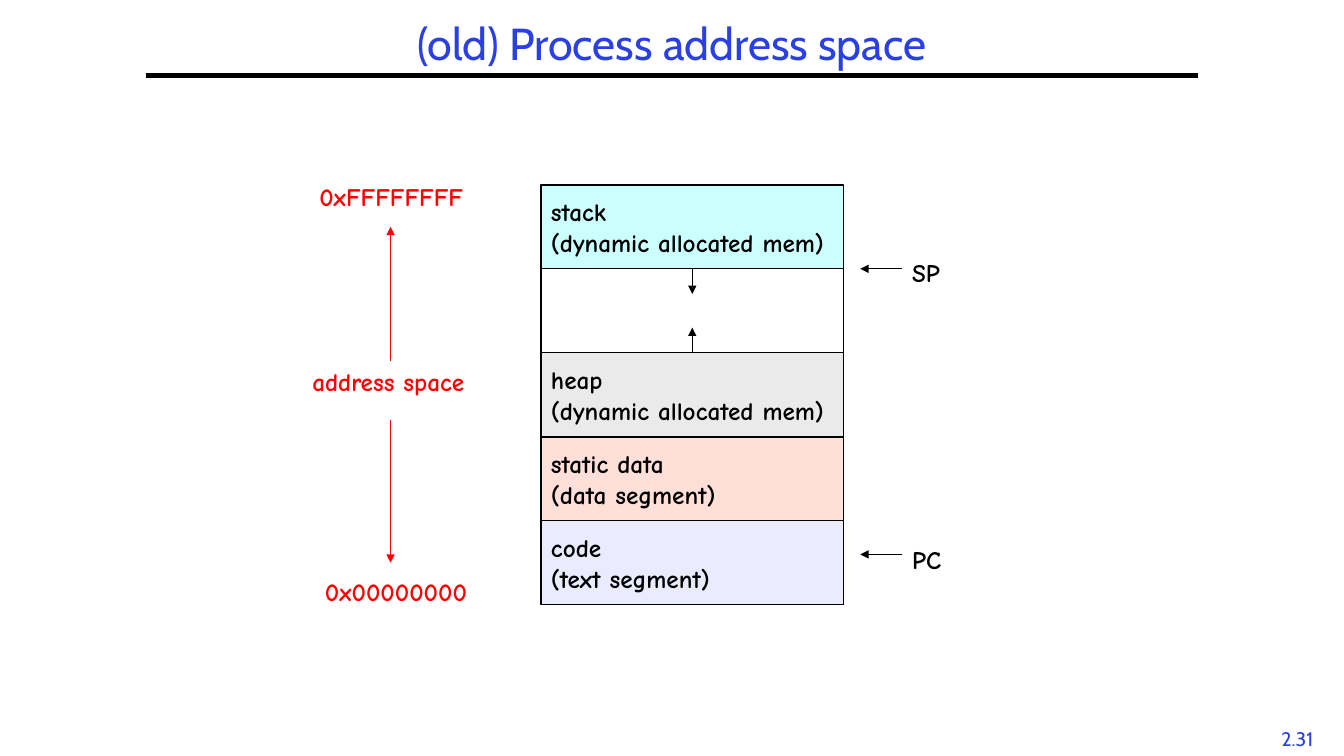
from dataclasses import dataclass

from lxml.etree import SubElement
from pptx import Presentation
from pptx.dml.color import RGBColor
from pptx.enum.shapes import MSO_CONNECTOR as Connector, MSO_SHAPE as Preset
from pptx.enum.text import MSO_ANCHOR as Anchor, MSO_AUTO_SIZE as AutoSize, PP_ALIGN as Align
from pptx.oxml.ns import qn
from pptx.util import Pt


@dataclass(frozen=True)
class Theme:
    title_font: str = "Cabin"
    body_font: str = "Comic Neue"
    title_size: int = 32
    body_size: int = 18
    number_size: int = 14
    blue: str = "2A40E2"
    red: str = "FF0000"
    black: str = "000000"
    white: str = "FFFFFF"
    stack: str = "CCFFFF"
    heap: str = "EAEAEA"
    data: str = "FFE0D9"
    code: str = "EBEBFF"


def write_text(shape, text, *, font, size, color, bold=False, align=Align.LEFT,
               anchor=Anchor.TOP, wrap=False, grow=False, spacing=None):
    frame = shape.text_frame
    frame.word_wrap = wrap
    frame.vertical_anchor = anchor
    frame.auto_size = AutoSize.SHAPE_TO_FIT_TEXT if grow else AutoSize.NONE
    frame.text = text
    for paragraph in frame.paragraphs:
        paragraph.alignment = align
        if spacing:
            paragraph.line_spacing = spacing
        paragraph.font.name = font
        paragraph.font.size = Pt(size)
        paragraph.font.bold = bold
        paragraph.font.color.rgb = RGBColor.from_string(color)


class SlideBuilder:
    def __init__(self, slide, theme):
        self.slide = slide
        self.theme = theme

    def text(self, text, left, top, width, height, **text_format):
        shape = self.slide.shapes.add_textbox(Pt(left), Pt(top), Pt(width), Pt(height))
        write_text(shape, text, **text_format)

    def label(self, text, left, top, width, color):
        self.text(text, left, top, width, 29, font=self.theme.body_font,
                  size=self.theme.body_size, color=color, bold=True, grow=True)

    def segment(self, text, left, top, width, height, fill):
        shape = self.slide.shapes.add_shape(
            Preset.RECTANGLE, Pt(left), Pt(top), Pt(width), Pt(height))
        shape.shadow.inherit = False
        shape.fill.solid()
        shape.fill.fore_color.rgb = RGBColor.from_string(fill)
        shape.line.color.rgb = RGBColor.from_string(self.theme.black)
        shape.line.width = Pt(1)
        if text:
            write_text(shape, text, font=self.theme.body_font, size=self.theme.body_size,
                       color=self.theme.black, bold=True, anchor=Anchor.MIDDLE)
        return shape

    def line(self, start, end, color, width=1, arrow=True, source=None, side=0):
        connector = self.slide.shapes.add_connector(
            Connector.STRAIGHT, *(Pt(value) for value in (*start, *end)))
        connector.line.color.rgb = RGBColor.from_string(color)
        connector.line.width = Pt(width)
        if arrow:
            SubElement(connector.line._get_or_add_ln(), qn("a:tailEnd"), type="triangle")
        SubElement(connector._element.spPr, qn("a:effectLst"))
        if source is not None:
            connector.begin_connect(source, side)


def main():
    presentation = Presentation()
    presentation.slide_width, presentation.slide_height = Pt(960), Pt(540)
    theme = Theme()
    builder = SlideBuilder(presentation.slides.add_slide(presentation.slide_layouts[6]), theme)

    # Title, rule and slide number
    builder.text("2.31", 905.8, 515.5, 41.8, 24, font=theme.title_font,
                 size=theme.number_size, color=theme.blue, align=Align.CENTER, grow=True)
    builder.line((104, 54), (856, 54), theme.black, width=3, arrow=False)
    builder.text("(old) Process address space", 104, 12, 752, 42, font=theme.title_font,
                 size=theme.title_size, color=theme.blue, align=Align.CENTER,
                 anchor=Anchor.MIDDLE, wrap=True, spacing=0.9)

    # Address range
    for text, left, top, width in (
        ("0xFFFFFFFF", 221, 126, 124.5),
        ("address space", 216, 258, 139),
        ("0x00000000", 225, 408, 125),
    ):
        builder.label(text, left, top, width, theme.red)
    range_x = 279
    builder.line((range_x, 258), (range_x, 162), theme.red)
    builder.line((range_x, 300), (range_x, 402), theme.red)

    # Memory segments, from the highest address down
    left, top, width, height = 386.5, 132, 216, 60
    segments = (
        ("stack\n(dynamic allocated mem)", theme.stack),
        ("", theme.white),
        ("heap\n(dynamic allocated mem)", theme.heap),
        ("static data\n(data segment)", theme.data),
        ("code\n(text segment)", theme.code),
    )
    stack, _, heap, _, _ = [
        builder.segment(text, left, top + row * height, width, height, fill)
        for row, (text, fill) in enumerate(segments)
    ]

    # Growth of stack and heap into the free space
    middle, growth = left + width / 2, 18
    stack_end, heap_start = top + height, top + 2 * height
    builder.line((middle, stack_end), (middle, stack_end + growth), theme.black,
                 source=stack, side=2)
    builder.line((middle, heap_start), (middle, heap_start - growth), theme.black,
                 source=heap, side=0)

    # Registers
    for text, arrow_y, label_y, label_width in (("SP", 192, 180, 37), ("PC", 396, 385, 35.5)):
        builder.line((644.5, arrow_y), (614.5, arrow_y), theme.black)
        builder.label(text, 644.5, label_y, label_width, theme.black)

    presentation.save("out.pptx")


if __name__ == "__main__":
    main()
